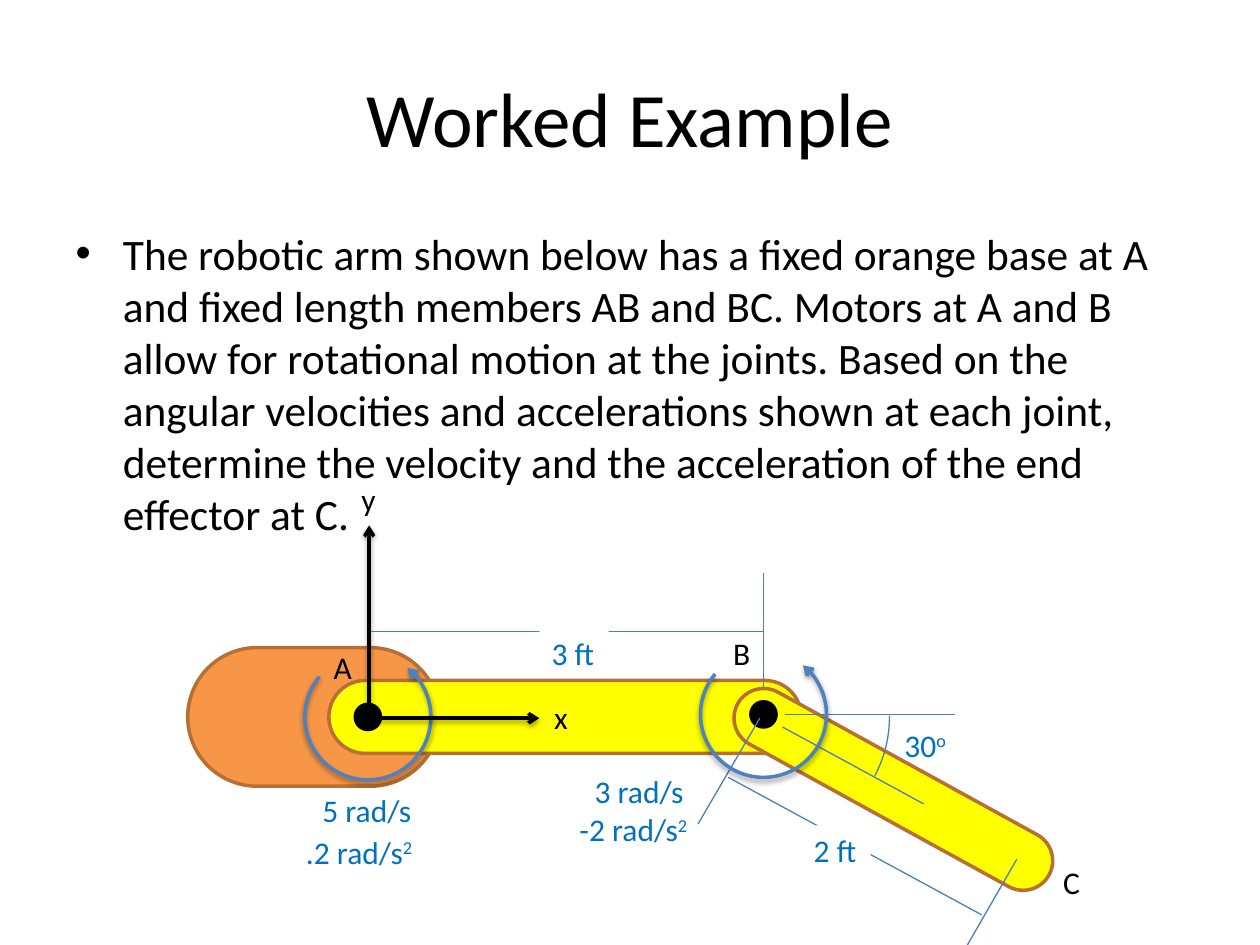
from lxml.etree import SubElement
from pptx import Presentation
from pptx.dml.color import RGBColor
from pptx.enum.shapes import MSO_CONNECTOR as Link, MSO_SHAPE as Preset
from pptx.enum.text import MSO_ANCHOR as Anchor, MSO_AUTO_SIZE as Fit, PP_ALIGN as Align
from pptx.oxml.ns import qn
from pptx.util import Inches, Pt

BLACK, WHITE, YELLOW, ORANGE = "000000", "FFFFFF", "FFFF00", "F79646"
EDGE, GUIDE, MOTOR, VALUE = "B76F34", "4B7EBC", "4F81BD", "0070C0"
PROBLEM = (
    "The robotic arm shown below has a fixed orange base at A and fixed length "
    "members AB and BC. Motors at A and B allow for rotational motion at the joints. "
    "Based on the angular velocities and accelerations shown at each joint, determine "
    "the velocity and the acceleration of the end effector at C."
)


def paint(target, color):
    """Give a fill or a line one solid colour."""
    target.solid()
    target.fore_color.rgb = RGBColor.from_string(color)


def style_text(paragraph, size, color):
    """Set the font of every run in a paragraph."""
    for span in paragraph.runs:
        span.font.name = "Calibri"
        span.font.size = Pt(size)
        span.font.color.rgb = RGBColor.from_string(color)


def finish_stroke(shape, color, width, arrow=False):
    """Set the outline; an arrow gets a head and a soft shadow."""
    paint(shape.line.fill, color)
    shape.line.width = Pt(width)
    properties = shape.element.spPr
    effects = SubElement(properties, qn("a:effectLst"))
    if arrow:
        SubElement(properties.find(qn("a:ln")), qn("a:tailEnd"), type="arrow")
        shadow = SubElement(effects, qn("a:outerShdw"), blurRad=str(Pt(3.1)),
                            dist=str(Pt(1.6)), dir="5400000", rotWithShape="0")
        tint = SubElement(shadow, qn("a:srgbClr"), val=BLACK)
        SubElement(tint, qn("a:alpha"), val="38000")


def add_capsule(page, bounds, fill, edge, rotation=0):
    """Add a bar with fully rounded ends."""
    bar = page.shapes.add_shape(Preset.ROUNDED_RECTANGLE, *map(Inches, bounds))
    bar.adjustments[0] = 0.5
    bar.rotation = rotation
    paint(bar.fill, fill)
    finish_stroke(bar, edge, 2)


def add_arc(page, center, radius, angles, color, width, arrow=False):
    """Add a circular arc between two angles in degrees; arrows run anticlockwise."""
    x, y = center
    bounds = (x - radius, y - radius, 2 * radius, 2 * radius)
    arc = page.shapes.add_shape(Preset.ARC, *map(Inches, bounds))
    for index, angle in enumerate(angles):
        arc.adjustments[index] = angle * 0.6
    arc.fill.background()
    if arrow:
        arc.element.spPr.find(qn("a:xfrm")).set("flipH", "1")
    finish_stroke(arc, color, width, arrow)


def add_line(page, start, end, color=GUIDE, width=0.75, arrow=False):
    """Add a straight line or axis."""
    line = page.shapes.add_connector(Link.STRAIGHT, *map(Inches, start + end))
    finish_stroke(line, color, width, arrow)


def add_label(page, bounds, text, color=VALUE, raised="", fill=None):
    """Add a short label with an optional superscript."""
    box = page.shapes.add_textbox(*map(Inches, bounds))
    if fill:
        paint(box.fill, fill)
    frame = box.text_frame
    frame.word_wrap = False
    frame.auto_size = Fit.SHAPE_TO_FIT_TEXT
    frame.text = text
    para = frame.paragraphs[0]
    if raised:
        span = para.add_run()
        span.text = raised
        span.font._element.set("baseline", "30000")
    style_text(para, 18, color)


def fill_placeholder(box, bounds, text, size, align, anchor):
    """Place a template placeholder and write its paragraph."""
    box.left, box.top, box.width, box.height = map(Inches, bounds)
    frame = box.text_frame
    frame.text = text
    frame.word_wrap = True
    frame.auto_size = Fit.NONE
    frame.vertical_anchor = anchor
    para = frame.paragraphs[0]
    para.alignment = align
    para.space_before = Pt(0)
    style_text(para, size, BLACK)


def draw_arm(page):
    """Draw the base, both members and the joint pins."""
    add_capsule(page, (1.49, 5.14, 2, 1.1), ORANGE, EDGE)
    add_capsule(page, (2.61, 5.4, 3.75, 0.58), YELLOW, EDGE)
    add_capsule(page, (5.68, 6.03, 2.82, 0.47), YELLOW, EDGE, 28.8)
    for left, top in ((2.82, 5.59), (5.96, 5.57)):
        add_capsule(page, (left, top, 0.2, 0.2), BLACK, BLACK)


def draw_dimensions(page):
    """Draw the guide lines, the angle and the motor arrows."""
    guides = (
        ((2.92, 5.46), (2.92, 4.55)), ((6.06, 5.46), (6.06, 4.55)),
        ((5.54, 6.54), (6.03, 5.7)), ((7.58, 7.67), (8.07, 6.82)),
        ((5.78, 6.17), (7.79, 7.26)), ((2.92, 5.01), (6.06, 5.01)),
        ((6.23, 5.67), (7.58, 5.67)), ((6.21, 5.77), (7.33, 6.38)),
    )
    for start, end in guides:
        add_line(page, start, end)
    add_arc(page, (6.06, 5.69), 1, (359.38, 27.86), GUIDE, 0.75)
    for joint in ((2.92, 5.69), (6.06, 5.67)):
        add_arc(page, joint, 0.5, (320.2, 231.16), MOTOR, 2, arrow=True)


def draw_labels(page):
    """Write the given values and the point names."""
    add_label(page, (2.46, 6.23, 0.92, 0.4), "5 rad/s")
    add_label(page, (4.62, 6.08, 0.92, 0.4), "3 rad/s")
    add_label(page, (6.36, 6.55, 0.55, 0.4), "2 ft", fill=WHITE)
    add_label(page, (4.28, 4.98, 0.55, 0.4), "3 ft", fill=WHITE)
    add_label(page, (7.08, 5.71, 0.55, 0.4), "30", raised="o")
    add_label(page, (2.33, 6.56, 1.11, 0.4), ".2 rad/s", raised="2")
    add_label(page, (4.5, 6.38, 1.08, 0.4), "-2 rad/s", raised="2")
    for name, left, top in (("A", 2.55, 5.09), ("B", 5.72, 4.98), ("C", 8.34, 6.8),
                            ("y", 2.77, 3.76), ("x", 4.3, 5.49)):
        add_label(page, (left, top, 0.34, 0.4), name, BLACK)


def main():
    """Build the worked example slide."""
    deck = Presentation()
    deck.slide_width, deck.slide_height = Inches(10), Inches(7.5)
    page = deck.slides.add_slide(deck.slide_layouts[1])
    title, body = page.placeholders
    fill_placeholder(title, (0.5, 0.3, 9, 1.25), "Worked Example", 44,
                     Align.CENTER, Anchor.MIDDLE)
    fill_placeholder(body, (0.5, 1.75, 9, 2.21), PROBLEM, 24.8, Align.LEFT, Anchor.TOP)
    draw_arm(page)
    draw_dimensions(page)
    draw_labels(page)
    for tip in ((4.28, 5.7), (2.93, 4.17)):
        add_line(page, (2.93, 5.7), tip, BLACK, 2, arrow=True)
    deck.save("out.pptx")


if __name__ == "__main__":
    main()
